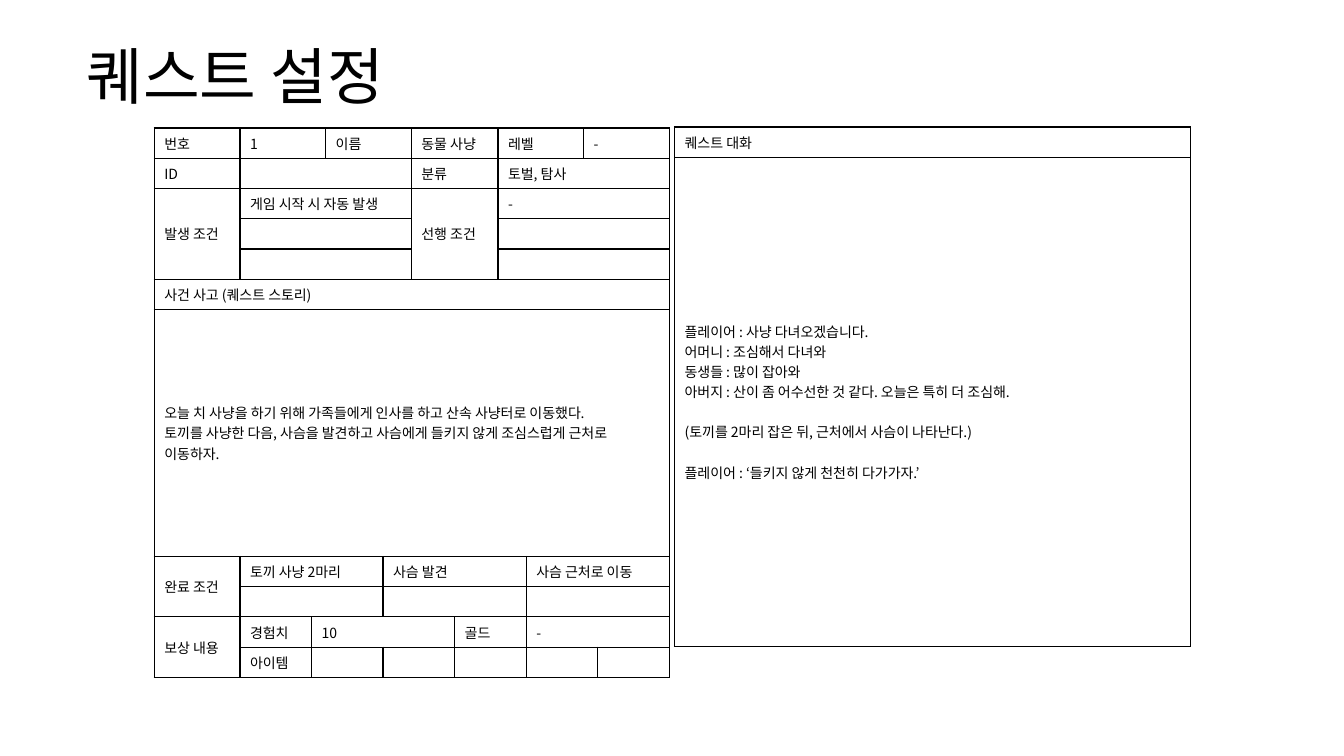
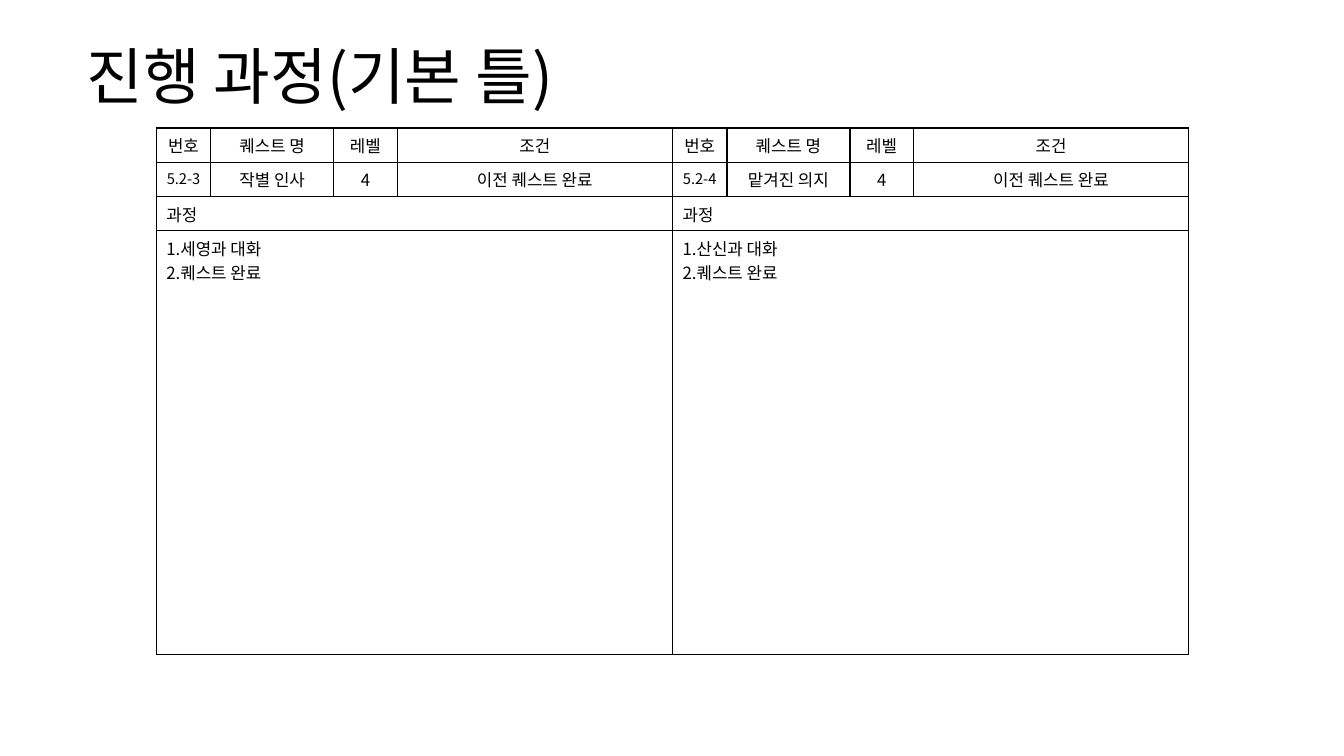
from dataclasses import dataclass

from lxml import etree
from pptx import Presentation
from pptx.dml.color import RGBColor
from pptx.enum.text import MSO_ANCHOR, PP_ALIGN
from pptx.oxml.ns import qn
from pptx.util import Inches, Pt

MIDDLE, TOP = MSO_ANCHOR.MIDDLE, MSO_ANCHOR.TOP
LEFT, CENTER = PP_ALIGN.LEFT, PP_ALIGN.CENTER

COLORS = {"text": "000000", "border": "000000"}
FONT = "Noto Sans CJK KR"
TITLE_SIZE = 44
QUEST_SIZE = 10
PROGRESS_SIZE = 12
NUMBER_SIZE = 10.5
BORDER_WIDTH = 1
BLOCK_GAP = 14.4
TABLE_TOP = 1.27
PANEL_WIDTH = 5.12
QUEST_ROW = 0.3
PROGRESS_ROW = 0.34

QUEST_COLUMNS = [0.85, 0.71, 0.14, 0.57, 0.28, 0.43, 0.43, 0.28, 0.57, 0.14, 0.71]
QUEST_ROWS = [QUEST_ROW] * 6 + [2.45] + [QUEST_ROW] * 4
PROGRESS_COLUMNS = [0.54, 1.22, 0.63, 2.73]
PROGRESS_ROWS = [PROGRESS_ROW] * 3 + [4.2]

STORY = """오늘 치 사냥을 하기 위해 가족들에게 인사를 하고 산속 사냥터로 이동했다.
토끼를 사냥한 다음, 사슴을 발견하고 사슴에게 들키지 않게 조심스럽게 근처로 이동하자."""

DIALOGUE = """플레이어 : 사냥 다녀오겠습니다.
어머니 : 조심해서 다녀와
동생들 : 많이 잡아와
아버지 : 산이 좀 어수선한 것 같다. 오늘은 특히 더 조심해.

(토끼를 2마리 잡은 뒤, 근처에서 사슴이 나타난다.)

플레이어 : ‘들키지 않게 천천히 다가가자.’"""


@dataclass
class Entry:
    text: str = ""
    columns: int = 1
    rows: int = 1
    align: PP_ALIGN = LEFT
    size: float = 0


QUEST_ENTRIES = [
    [Entry("번호")] + [Entry(text, 2) for text in ("1", "이름", "동물 사냥", "레벨", "-")],
    [Entry("ID"), Entry("", 4), Entry("분류", 2), Entry("토벌, 탐사", 4)],
    [Entry("발생 조건", 1, 3), Entry("게임 시작 시 자동 발생", 4),
     Entry("선행 조건", 2, 3), Entry("-", 4)],
    [Entry("", 4), Entry("", 4)],
    [Entry("", 4), Entry("", 4)],
    [Entry("사건 사고 (퀘스트 스토리)", 11)],
    [Entry(STORY, 11)],
    [Entry("완료 조건", 1, 2), Entry("토끼 사냥 2마리", 3),
     Entry("사슴 발견", 4), Entry("사슴 근처로 이동", 3)],
    [Entry("", 3), Entry("", 4), Entry("", 3)],
    [Entry("보상 내용", 1, 2), Entry("경험치"), Entry("10", 4),
     Entry("골드", 2), Entry("-", 3)],
    [Entry("아이템")] + [Entry("", 2)] * 4 + [Entry()],
]


def add_run(paragraph, text, size):
    run = paragraph.add_run()
    run.text = text
    run.font.size = Pt(size)
    run.font.name = FONT
    run.font.color.rgb = RGBColor.from_string(COLORS["text"])
    etree.SubElement(run.font._element, qn("a:ea"), typeface=FONT)


def add_title(slide, text):
    shape = slide.shapes.add_textbox(Inches(0.76), Inches(0.32), Inches(11.81), Inches(0.94))
    frame = shape.text_frame
    frame.word_wrap = True
    frame.vertical_anchor = MIDDLE
    paragraph = frame.paragraphs[0]
    paragraph.line_spacing = 0.9
    add_run(paragraph, text, TITLE_SIZE)


def style_cell(cell, size, anchor):
    properties = cell._tc.get_or_add_tcPr()
    for side in ("a:lnL", "a:lnR", "a:lnT", "a:lnB"):
        line = etree.SubElement(properties, qn(side), w=str(Pt(BORDER_WIDTH)))
        fill = etree.SubElement(line, qn("a:solidFill"))
        etree.SubElement(fill, qn("a:srgbClr"), val=COLORS["border"])
    cell.fill.background()
    cell.vertical_anchor = anchor
    paragraph = cell.text_frame.paragraphs[0]
    etree.SubElement(paragraph._p, qn("a:endParaRPr"), sz=str(int(size * 100)))


def write_entry(cell, entry, size):
    frame = cell.text_frame
    for block_index, block in enumerate(entry.text.split("\n\n")):
        for line_index, line in enumerate(block.split("\n")):
            first = block_index == line_index == 0
            paragraph = frame.paragraphs[0] if first else frame.add_paragraph()
            paragraph.alignment = entry.align
            if block_index and line_index == 0:
                paragraph.space_before = Pt(BLOCK_GAP)
            if line:
                add_run(paragraph, line, entry.size or size)


def add_table(slide, left, top, widths, heights, entries, size, anchor):
    frame = slide.shapes.add_table(
        len(heights), len(widths), Inches(left), Inches(top),
        Inches(sum(widths)), Inches(sum(heights)))
    table = frame.table
    table.first_row = table.horz_banding = False
    for column, width in zip(table.columns, widths):
        column.width = Inches(width)
    for row, height in zip(table.rows, heights):
        row.height = Inches(height)
    for cell in table.iter_cells():
        style_cell(cell, size, anchor)
    for row_index, row_entries in enumerate(entries):
        column_index = 0
        for entry in row_entries:
            while table.cell(row_index, column_index).is_spanned:
                column_index += 1
            cell = table.cell(row_index, column_index)
            if entry.columns * entry.rows > 1:
                cell.merge(table.cell(row_index + entry.rows - 1,
                                      column_index + entry.columns - 1))
            write_entry(cell, entry, size)
            column_index += entry.columns


def add_progress_table(slide, left, number, name, steps):
    entries = [
        [Entry(text, align=CENTER) for text in ("번호", "퀘스트 명", "레벨", "조건")],
        [Entry(number, align=CENTER, size=NUMBER_SIZE)]
        + [Entry(text, align=CENTER) for text in (name, "4", "이전 퀘스트 완료")],
        [Entry("과정", 4)],
        [Entry(steps, 4)],
    ]
    add_table(slide, left, TABLE_TOP, PROGRESS_COLUMNS, PROGRESS_ROWS,
              entries, PROGRESS_SIZE, TOP)


def add_slide(presentation, title):
    slide = presentation.slides.add_slide(presentation.slide_layouts[6])
    add_title(slide, title)
    return slide


def main():
    presentation = Presentation()
    presentation.slide_width = Inches(13.33)
    presentation.slide_height = Inches(7.5)

    quest = add_slide(presentation, "퀘스트 설정")
    add_table(quest, 1.53, TABLE_TOP, QUEST_COLUMNS, QUEST_ROWS,
              QUEST_ENTRIES, QUEST_SIZE, MIDDLE)
    add_table(quest, 6.69, 1.26, [PANEL_WIDTH], [QUEST_ROW, 4.85],
              [[Entry("퀘스트 대화")], [Entry(DIALOGUE)]], QUEST_SIZE, MIDDLE)

    progress = add_slide(presentation, "진행 과정(기본 틀)")
    quests = [
        ("5.2-3", "작별 인사", "1.세영과 대화\n2.퀘스트 완료"),
        ("5.2-4", "맡겨진 의지", "1.산신과 대화\n2.퀘스트 완료"),
    ]
    for index, details in enumerate(quests):
        add_progress_table(progress, 1.55 + index * PANEL_WIDTH, *details)

    presentation.save("out.pptx")


if __name__ == "__main__":
    main()
